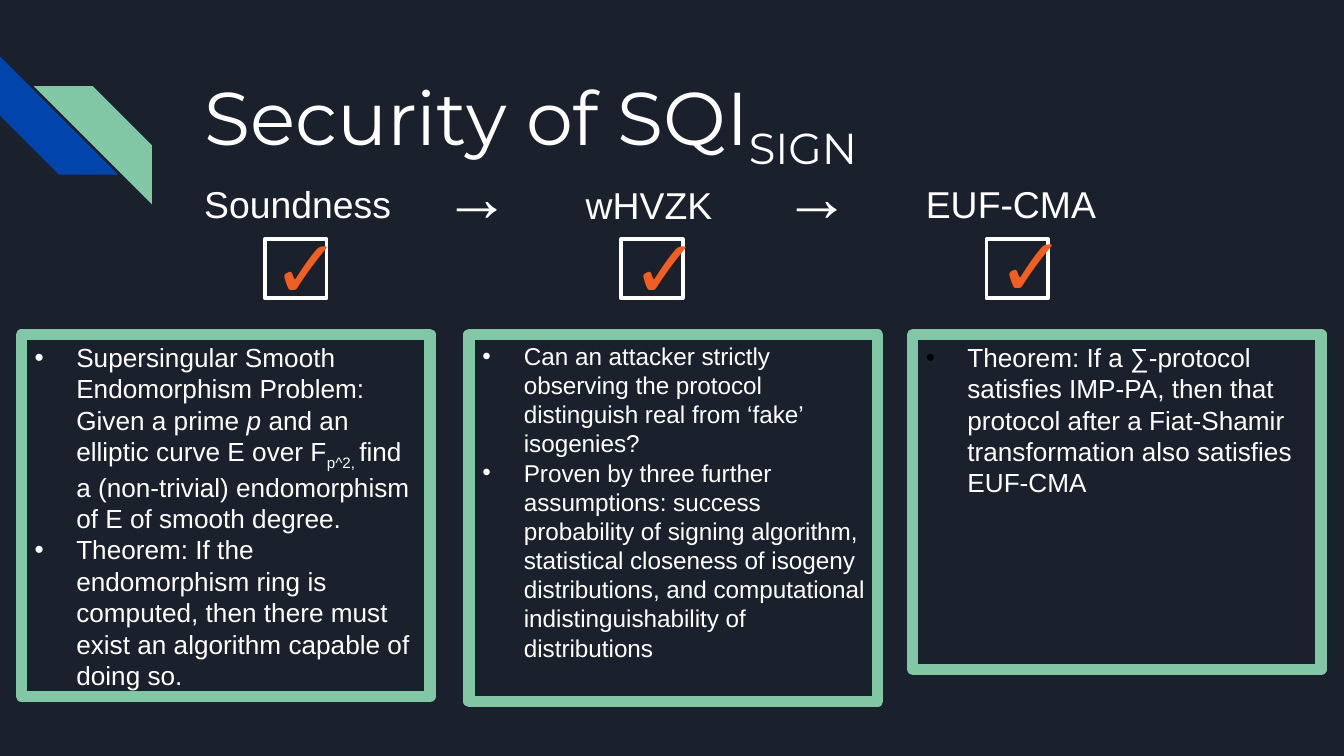
from dataclasses import dataclass

from pptx import Presentation
from pptx.dml.color import RGBColor
from pptx.enum import shapes, text
from pptx.oxml.ns import qn
from pptx.util import Inches, Pt


@dataclass(frozen=True)
class Theme:
    back: str = "1B212C"
    ink: str = "FFFFFF"
    black: str = "000000"
    blue: str = "0145AC"
    green: str = "82C7A5"
    orange: str = "F15E22"
    title_font: str = "Montserrat"
    body_font: str = "Arial"
    title: int = 40
    label: int = 20
    arrow: int = 36
    tick: int = 44
    body: int = 14
    dense: int = 13


T = Theme()
SUB = {"baseline": "-25000"}
ITALIC = {"i": "1"}


def rgb(value):
    return RGBColor.from_string(value)


def place(values):
    return [Inches(v) for v in values]


def add_runs(p, runs, size, color=T.ink, font=T.body_font):
    for words, marks in runs:
        r = p.add_run()
        r.text = words
        for name, value in {"size": Pt(size), "name": font}.items():
            setattr(r.font, name, value)
        r.font.color.rgb = rgb(color)
        for name, value in marks.items():
            r.font._element.set(name, value)


def add_stripe(s, left, top, color, rotation=0, flip=False):
    sp = s.shapes.add_shape(shapes.MSO_SHAPE.DIAGONAL_STRIPE,
                            *place((left, top, 0.88, 0.88)))
    sp.shadow.inherit = False
    sp.rotation = rotation
    sp.fill.solid()
    sp.fill.fore_color.rgb = rgb(color)
    sp.line.fill.background()
    if flip:
        sp._element.spPr.find(qn("a:xfrm")).set("flipH", "1")


def add_title(s, runs):
    sp = s.shapes.title
    sp.left, sp.top, sp.width, sp.height = place((1.42, 0.43, 7.7, 1))
    tf = sp.text_frame
    inset = Inches(0.1)
    settings = {"margin_left": inset, "margin_top": inset,
                "margin_right": inset, "margin_bottom": inset,
                "vertical_anchor": text.MSO_ANCHOR.TOP,
                "auto_size": text.MSO_AUTO_SIZE.NONE, "word_wrap": True}
    for name, value in settings.items():
        setattr(tf, name, value)
    p = tf.paragraphs[0]
    p.alignment = text.PP_ALIGN.LEFT
    add_runs(p, runs, T.title, font=T.title_font)


def add_text(s, at, words, size, color=T.ink):
    tf = s.shapes.add_textbox(*place(at)).text_frame
    tf.word_wrap = True
    add_runs(tf.paragraphs[0], [(words, {})], size, color)


def add_frame(s, at, color, width):
    sp = s.shapes.add_shape(shapes.MSO_SHAPE.RECTANGLE, *place(at))
    sp.shadow.inherit = False
    sp.fill.background()
    sp.line.color.rgb = rgb(color)
    sp.line.width = Pt(width)
    ln = sp.line._get_or_add_ln()
    ln.append(ln.makeelement(qn("a:round"), {}))
    return sp


def add_bullet(p, color):
    pPr = p._p.get_or_add_pPr()
    indent = Inches(0.31)
    pPr.set("marL", str(indent))
    pPr.set("indent", str(-indent))
    bu_color = pPr.makeelement(qn("a:buClr"), {})
    bu_color.append(bu_color.makeelement(qn("a:srgbClr"), {"val": color}))
    pPr.append(bu_color)
    pPr.append(pPr.makeelement(qn("a:buFont"), {"typeface": T.body_font}))
    pPr.append(pPr.makeelement(qn("a:buChar"), {"char": "•"}))


def add_panel(s, left, height, size, bullet_color, points):
    tf = add_frame(s, (left, 2.49, 3.04, height), T.green, 6).text_frame
    tf.word_wrap = True
    tf.vertical_anchor = text.MSO_ANCHOR.TOP
    for i, runs in enumerate(points):
        p = tf.add_paragraph() if i else tf.paragraphs[0]
        p.alignment = text.PP_ALIGN.LEFT
        add_bullet(p, bullet_color)
        add_runs(p, runs, size)


LABELS = [
    ("Soundness", 1.42, 1.3, 1.68),
    ("wHVZK", 4.26, 1.31, 1.37),
    ("EUF-CMA", 6.79, 1.3, 1.68),
]
ARROWS = [3.2, 5.73]
CHECKBOXES = [1.97, 4.62, 7.34]
TICKS = [(1.93, 1.56), (4.6, 1.56), (7.32, 1.55)]
PANELS = [
    (0.16, 2.69, T.body, T.ink, [
        [("Supersingular Smooth Endomorphism Problem: Given a prime ", {}),
         ("p ", ITALIC),
         ("and an elliptic curve E over F", {}),
         ("p^2, ", SUB),
         ("find a (non-trivial) endomorphism of E of smooth degree.", {})],
        [("Theorem: If the endomorphism ring is computed, then there must "
          "exist an algorithm capable of doing so.", {})],
    ]),
    (3.49, 2.73, T.dense, T.ink, [
        [("Can an attacker strictly observing the protocol distinguish real "
          "from ‘fake’ isogenies?", {})],
        [("Proven by three further assumptions: success probability of "
          "signing algorithm, statistical closeness of isogeny "
          "distributions, and computational indistinguishability of "
          "distributions", {})],
    ]),
    (6.79, 2.49, T.body, T.black, [
        [("Theorem: If a ∑-protocol satisfies IMP-PA, then that protocol "
          "after a Fiat-Shamir transformation also satisfies EUF-CMA", {})],
    ]),
]


def main():
    prs = Presentation()
    prs.slide_width, prs.slide_height = place((10, 10 * 9 / 16))
    s = prs.slides.add_slide(prs.slide_layouts[5])
    s.background.fill.solid()
    s.background.fill.fore_color.rgb = rgb(T.back)

    add_stripe(s, 0, 0.42, T.blue, rotation=270)
    add_stripe(s, 0.25, 0.64, T.green, flip=True)
    add_title(s, [("Security of SQI", {}), ("SIGN", SUB)])

    for words, left, top, width in LABELS:
        add_text(s, (left, top, width, 0.44), words, T.label)
    for left in CHECKBOXES:
        add_frame(s, (left, 1.78, 0.46, 0.44), T.ink, 2)
    for left in ARROWS:
        add_text(s, (left, 1.1, 0.95, 0.71), "→", T.arrow)
    for left, top in TICKS:
        add_text(s, (left, top, 0.95, 0.84), "✓", T.tick, T.orange)
    for panel in PANELS:
        add_panel(s, *panel)

    prs.save("out.pptx")


if __name__ == "__main__":
    main()
